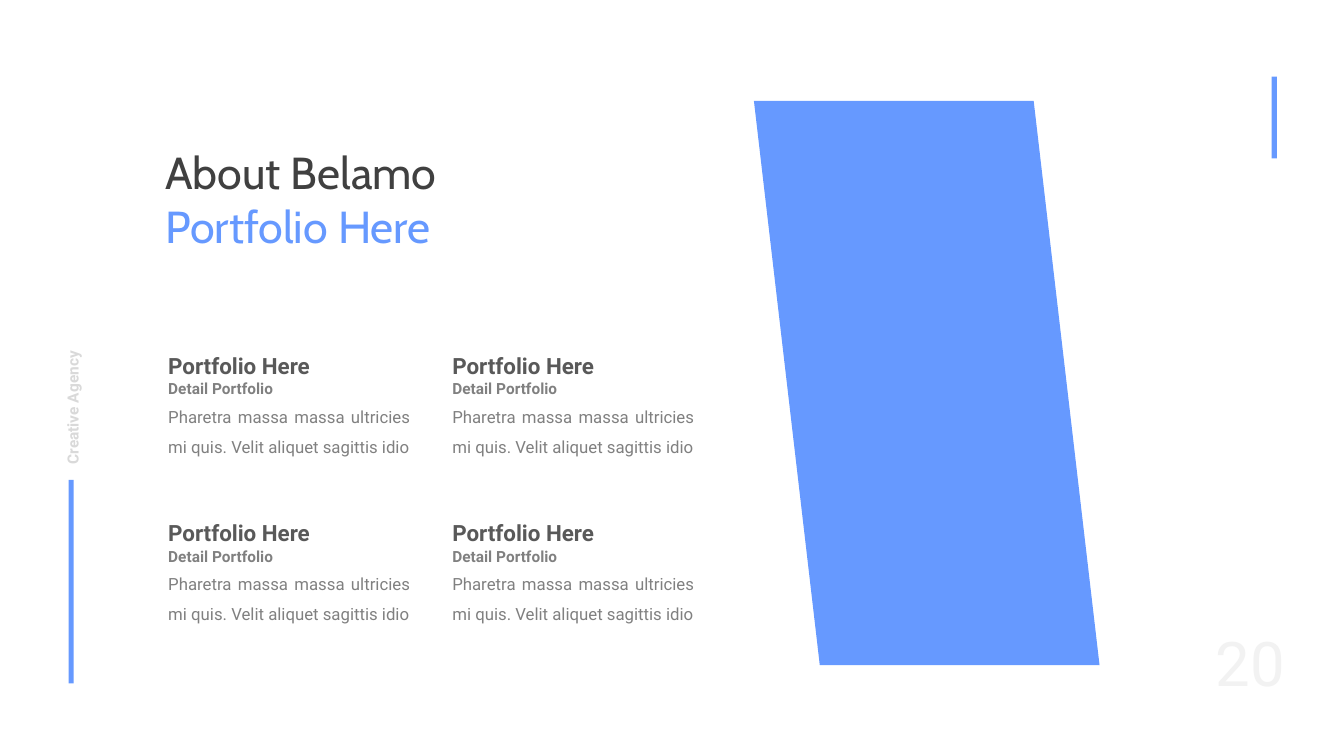
from pptx import Presentation
from pptx.dml.color import RGBColor
from pptx.enum.shapes import MSO_SHAPE as Shape
from pptx.enum.text import MSO_AUTO_SIZE as Auto, PP_ALIGN as Align
from pptx.util import Cm, Pt

BLUE = RGBColor(0x66, 0x99, 0xFF)
DARK = RGBColor(0x40, 0x40, 0x40)
HEAD = RGBColor(0x59, 0x59, 0x59)
GREY = RGBColor(0x80, 0x80, 0x80)
LIGHT = RGBColor(0xD9, 0xD9, 0xD9)
FAINT = RGBColor(0xF2, 0xF2, 0xF2)

BODY = "Pharetra massa massa ultricies mi quis. Velit aliquet sagittis idio"
ITEMS = [("Portfolio Here", "Detail Portfolio", BODY)] * 4


def put(slide, box, text, size, color, font="Roboto", bold=False,
        align=Align.JUSTIFY, lead=1.5, turn=0):
    """Add a text box; text is a string or a list of (string, colour)."""
    shape = slide.shapes.add_textbox(*map(Cm, box))
    shape.rotation = turn
    frame = shape.text_frame
    frame.word_wrap = True
    frame.auto_size = Auto.SHAPE_TO_FIT_TEXT
    para = frame.paragraphs[0]
    para.alignment = align
    para.line_spacing = lead
    parts = [(text, color)] if isinstance(text, str) else text
    for words, tint in parts:
        run = para.add_run()
        run.text = words
        run.font.name = font
        run.font.size = Pt(size)
        run.font.bold = bold
        run.font.color.rgb = tint


def paint(shape):
    shape.shadow.inherit = False
    shape.fill.solid()
    shape.fill.fore_color.rgb = BLUE
    shape.line.fill.background()


def bar(slide, *box):
    paint(slide.shapes.add_shape(Shape.RECTANGLE, *map(Cm, box)))


def panel(slide, left, top, width, height, slant):
    """Leaning blue panel."""
    right, low = left + width, top + height
    points = [(right - slant, top), (right, low), (left + slant, low)]
    form = slide.shapes.build_freeform(Cm(left), Cm(top))
    form.add_line_segments([(Cm(x), Cm(y)) for x, y in points], close=True)
    paint(form.convert_to_shape())


def side(slide, left, top):
    """Upright tag above its bar at the left edge."""
    put(slide, (left - 1.98, top - 2.51, 3.86, 0.89), "Creative Agency",
        11, LIGHT, bold=True, turn=270)
    bar(slide, left, top, 0.13, 5.13)


def title(slide, *box):
    put(slide, box, [("About Belamo ", DARK), ("Portfolio Here", BLUE)],
        32, DARK, font="Cabin", align=Align.LEFT, lead=1)


def item(slide, left, top, width, texts):
    """Heading, detail line and body text."""
    head, detail, body = texts
    put(slide, (left, top, width, 1.17), head, 16, HEAD, bold=True)
    put(slide, (left, top + 0.79, 4.06, 0.89), detail, 11, GREY, bold=True)
    put(slide, (left, top + 1.45, width, 1.7), body, 12, GREY)


def grid(slide, left, top, cols=2, across=7.16, down=4.22):
    for i, texts in enumerate(ITEMS):
        row, col = divmod(i, cols)
        item(slide, left + col * across, top + row * down, 6.6, texts)


def main():
    deck = Presentation()
    deck.slide_width, deck.slide_height = Cm(33.87), Cm(19.05)
    slide = deck.slides.add_slide(deck.slide_layouts[6])
    # Panel and edge marks
    panel(slide, 19, 2.54, 8.71, 14.22, 1.66)
    side(slide, 1.73, 12.09)
    bar(slide, 32.05, 1.93, 0.13, 2.06)
    # Title and portfolio items
    title(slide, 3.91, 3.53, 9.68, 3)
    grid(slide, 3.99, 8.41)
    # Page number
    put(slide, (29.6, 15.62, 3.04, 2.08), "20", 44, FAINT,
        align=Align.RIGHT, lead=1)
    deck.save("out.pptx")


if __name__ == "__main__":
    main()
